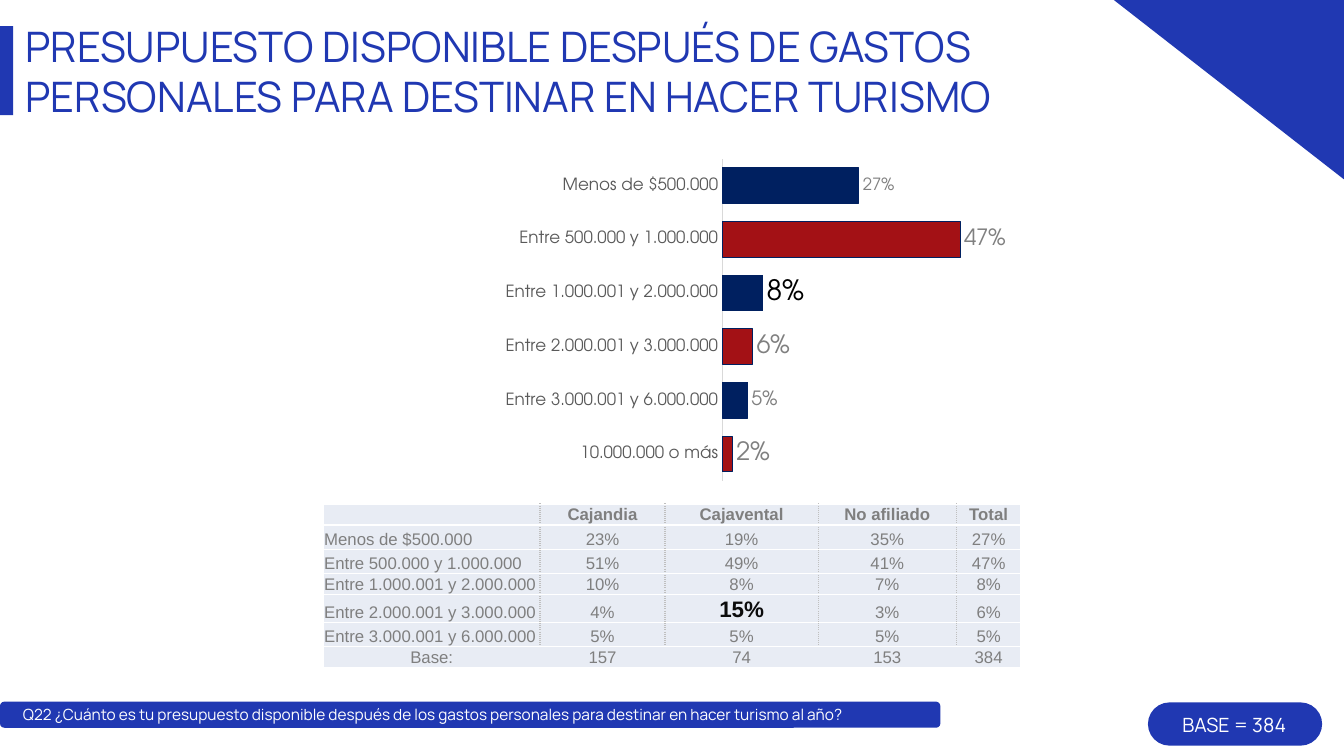
from dataclasses import dataclass

from lxml.etree import SubElement
from pptx import Presentation
from pptx.chart.data import CategoryChartData
from pptx.dml.color import RGBColor
from pptx.enum.chart import XL_CHART_TYPE as ChartType, XL_LABEL_POSITION as LabelPosition
from pptx.enum.chart import XL_TICK_LABEL_POSITION as TickLabels, XL_TICK_MARK as TickMark
from pptx.enum.shapes import MSO_SHAPE as Preset
from pptx.enum.text import MSO_ANCHOR as Anchor, MSO_AUTO_SIZE as AutoSize, PP_ALIGN as Align
from pptx.oxml import parse_xml
from pptx.oxml.ns import nsdecls, qn
from pptx.util import Cm, Pt


@dataclass(frozen=True)
class Theme:
    blue: str = "2038B2"
    navy: str = "002060"
    red: str = "A31115"
    white: str = "FFFFFF"
    black: str = "000000"
    near_black: str = "0C0C0C"
    gray: str = "7F7F7F"
    label_gray: str = "808080"
    axis_gray: str = "595959"
    axis_line: str = "D9D9D9"
    cell: str = "E8ECF4"
    divider: str = "BFBFBF"
    heading_font: str = "Manrope"
    chart_font: str = "TeX Gyre Adventor"
    table_font: str = "Arial"
    title_size: int = 30
    base_size: int = 14
    question_size: int = 11
    body_size: int = 12
    accent_size: int = 16
    label_size: int = 18


THEME = Theme()


@dataclass(frozen=True)
class Budget:
    category: str
    share: float
    label_size: int = THEME.label_size
    label_color: str = THEME.label_gray


@dataclass(frozen=True)
class Panel:
    preset: Preset
    box: tuple[float, float, float, float]
    rounding: float | None = None


@dataclass(frozen=True)
class Caption:
    text: str
    box: tuple[float, float, float, float]
    size: int
    align: Align


BUDGETS = [
    Budget("Menos de $500.000", 0.27, 12),
    Budget("Entre 500.000 y 1.000.000", 0.47, 16),
    Budget("Entre 1.000.001 y 2.000.000", 0.08, 20, THEME.black),
    Budget("Entre 2.000.001 y 3.000.000", 0.06),
    Budget("Entre 3.000.001 y 6.000.000", 0.05, 14),
    Budget("10.000.000 o más", 0.02),
]
GROUPS = ["", "Cajandia", "Cajavental", "No afiliado", "Total"]
GROUP_SHARES = [
    ["23%", "19%", "35%", "27%"],
    ["51%", "49%", "41%", "47%"],
    ["10%", "8%", "7%", "8%"],
    ["4%", "15%", "3%", "6%"],
    ["5%", "5%", "5%", "5%"],
]
TABLE_ROWS = [
    GROUPS,
    *([budget.category, *shares] for budget, shares in zip(BUDGETS, GROUP_SHARES)),
    ["Base:", "157", "74", "153", "384"],
]
COLUMN_WIDTHS = [5.46, 3.15, 3.86, 3.48, 1.63]
ROW_HEIGHTS = [0.53, 0.61, 0.61, 0.15, 0.61, 0.61, 0.53]
PANELS = [
    Panel(Preset.ROUNDED_RECTANGLE, (0, 17.68, 23.7, 0.66), 0.17),
    Panel(Preset.RECTANGLE, (0, 0.66, 0.33, 2.24)),
    Panel(Preset.ROUNDED_RECTANGLE, (28.93, 17.7, 4.39, 1.09), 0.5),
]
CAPTIONS = [
    Caption("BASE = 384", (29.24, 17.83, 3.73, 0.86), THEME.base_size, Align.CENTER),
    Caption("Q22 ¿Cuánto es tu presupuesto disponible después de los gastos personales "
            "para destinar en hacer turismo al año?",
            (0.33, 17.65, 29.36, 0.74), THEME.question_size, Align.LEFT),
]


def rgb(color: str) -> RGBColor:
    return RGBColor.from_string(color)


def style_font(font, *, size: int, color: str, name: str, bold: bool = False) -> None:
    font.size, font.name, font.bold = Pt(size), name, bold
    font.color.rgb = rgb(color)


def write(frame, text: str, *, align: Align = Align.LEFT, **font_format) -> None:
    paragraph = frame.paragraphs[0]
    paragraph.alignment = align
    run = paragraph.add_run()
    run.text = text
    style_font(run.font, **font_format)


def paint(shape, color: str) -> None:
    shape.shadow.inherit = False
    shape.fill.solid()
    shape.fill.fore_color.rgb = rgb(color)
    shape.line.fill.background()


def add_panel(slide, panel: Panel) -> None:
    shape = slide.shapes.add_shape(panel.preset, *map(Cm, panel.box))
    if panel.rounding is not None:
        shape.adjustments[0] = panel.rounding
    paint(shape, THEME.blue)


def add_corner(slide) -> None:
    builder = slide.shapes.build_freeform(Cm(33.87), 0)
    builder.add_line_segments([(Cm(28.07), 0), (Cm(33.87), Cm(4.52))], close=True)
    paint(builder.convert_to_shape(), THEME.blue)


def add_caption(slide, caption: Caption) -> None:
    frame = slide.shapes.add_textbox(*map(Cm, caption.box)).text_frame
    frame.word_wrap = True
    frame.auto_size = AutoSize.SHAPE_TO_FIT_TEXT
    write(frame, caption.text, align=caption.align, size=caption.size,
          color=THEME.white, name=THEME.heading_font)


def set_title(slide) -> None:
    title = slide.shapes.title
    title.left, title.top, title.width, title.height = map(Cm, (0.64, 0.48, 27.03, 2.59))
    frame = title.text_frame
    frame.margin_left = frame.margin_right = frame.margin_bottom = 0
    frame.margin_top = Cm(0.03)
    frame.vertical_anchor = Anchor.TOP
    frame.word_wrap = True
    frame.auto_size = AutoSize.SHAPE_TO_FIT_TEXT
    write(frame, "PRESUPUESTO DISPONIBLE DESPUÉS DE GASTOS PERSONALES PARA DESTINAR "
          "EN HACER TURISMO", size=THEME.title_size, color=THEME.blue, name=THEME.heading_font)


def set_plot_area(chart, x: float, y: float, w: float, h: float) -> None:
    """Fix the inner plot area as fractions of the chart."""
    plot_area = chart.plots[0]._element.getparent()
    for layout in plot_area.findall(qn("c:layout")):
        plot_area.remove(layout)
    values = {"layoutTarget": "inner", "xMode": "edge", "yMode": "edge",
              "x": x, "y": y, "w": w, "h": h}
    entries = "".join(f'<c:{key} val="{value}"/>' for key, value in values.items())
    plot_area.insert(0, parse_xml(
        f'<c:layout {nsdecls("c")}><c:manualLayout>{entries}</c:manualLayout></c:layout>'))


def add_budget_chart(slide) -> None:
    data = CategoryChartData(number_format="0%")
    data.categories = [budget.category for budget in BUDGETS]
    data.add_series("Series 1", [budget.share for budget in BUDGETS])
    box = map(Cm, (10.8, 3.61, 14.66, 8.89))
    chart = slide.shapes.add_chart(ChartType.BAR_CLUSTERED, *box, data).chart
    chart.has_legend = chart.has_title = False
    style_font(chart.font, size=10, color=THEME.black, name=THEME.table_font)
    set_plot_area(chart, 0.505, 0.044, 0.435, 0.913)

    categories, values = chart.category_axis, chart.value_axis
    for axis, font in ((categories, THEME.chart_font), (values, THEME.table_font)):
        axis.major_tick_mark = axis.minor_tick_mark = TickMark.NONE
        axis.has_major_gridlines = False
        style_font(axis.tick_labels.font, size=THEME.body_size, color=THEME.axis_gray, name=font)
    categories.reverse_order = True
    categories.format.line.color.rgb = rgb(THEME.axis_line)
    categories.format.line.width = Pt(0.75)
    values.minimum_scale, values.maximum_scale = 0, 0.5
    values.tick_label_position = TickLabels.NONE
    values.format.line.fill.background()

    plot = chart.plots[0]
    plot.gap_width = 50
    plot.vary_by_categories = False
    series = plot.series[0]
    labels = series.data_labels
    labels.show_value = True
    labels.number_format, labels.number_format_is_linked = "0%", False
    labels.position = LabelPosition.OUTSIDE_END
    style_font(labels.font, size=THEME.label_size, color=THEME.label_gray, name=THEME.chart_font)
    for index, budget in enumerate(BUDGETS):
        point = series.points[index]
        point.format.fill.solid()
        point.format.fill.fore_color.rgb = rgb(THEME.red if index % 2 else THEME.navy)
        point.format.line.color.rgb = rgb(THEME.navy)
        point.format.line.width = Pt(0.75)
        style_font(point.data_label.font, size=budget.label_size, color=budget.label_color,
                   name=THEME.chart_font)
        point.data_label.position = LabelPosition.OUTSIDE_END


def add_border(cell, side: str, color: str | None, dash: str = "solid") -> None:
    line = SubElement(cell._tc.get_or_add_tcPr(), qn(f"a:ln{side}"), w=str(Pt(1)))
    if color is None:
        SubElement(line, qn("a:noFill"))
        return
    SubElement(SubElement(line, qn("a:solidFill")), qn("a:srgbClr"), val=color)
    SubElement(line, qn("a:prstDash"), val=dash)


def add_group_table(slide) -> None:
    last_row, last_column = len(TABLE_ROWS) - 1, len(GROUPS) - 1
    box = map(Cm, (8.15, 12.7, sum(COLUMN_WIDTHS), sum(ROW_HEIGHTS)))
    table = slide.shapes.add_table(last_row + 1, last_column + 1, *box).table
    table.first_row = table.horz_banding = False
    for column, width in zip(table.columns, COLUMN_WIDTHS):
        column.width = Cm(width)
    for r, (row, height, texts) in enumerate(zip(table.rows, ROW_HEIGHTS, TABLE_ROWS)):
        row.height = Cm(height)
        inner = (None,) if r == last_row else (THEME.divider, "sysDot")
        for c, text in enumerate(texts):
            cell = table.cell(r, c)
            add_border(cell, "L", *((THEME.white,) if c == 0 else inner))
            add_border(cell, "R", *((THEME.white,) if c == last_column else inner))
            add_border(cell, "T", THEME.white)
            open_bottom = r == last_row and 0 < c < last_column
            add_border(cell, "B", None if open_bottom else THEME.white)
            cell.fill.solid()
            cell.fill.fore_color.rgb = rgb(THEME.cell)
            cell.margin_left = cell.margin_right = cell.margin_top = Cm(0.02)
            cell.margin_bottom = 0
            middle = r == 0 or (r == last_row and c == 0)
            cell.vertical_anchor = Anchor.MIDDLE if middle else Anchor.BOTTOM
            if not text:
                cell.text_frame.paragraphs[0].font.size = Pt(THEME.body_size)
                continue
            highlight = text == "15%"
            write(cell.text_frame, text, name=THEME.table_font, bold=r == 0 or highlight,
                  align=Align.LEFT if c == 0 and r < last_row else Align.CENTER,
                  size=THEME.accent_size if highlight else THEME.body_size,
                  color=THEME.near_black if highlight else THEME.gray)


def main() -> None:
    deck = Presentation()
    deck.slide_width, deck.slide_height = Cm(33.87), Cm(19.05)
    slide = deck.slides.add_slide(deck.slide_layouts[5])
    add_budget_chart(slide)
    add_group_table(slide)
    for panel in PANELS:
        add_panel(slide, panel)
    add_corner(slide)
    set_title(slide)
    for caption in CAPTIONS:
        add_caption(slide, caption)
    deck.save("out.pptx")


if __name__ == "__main__":
    main()
